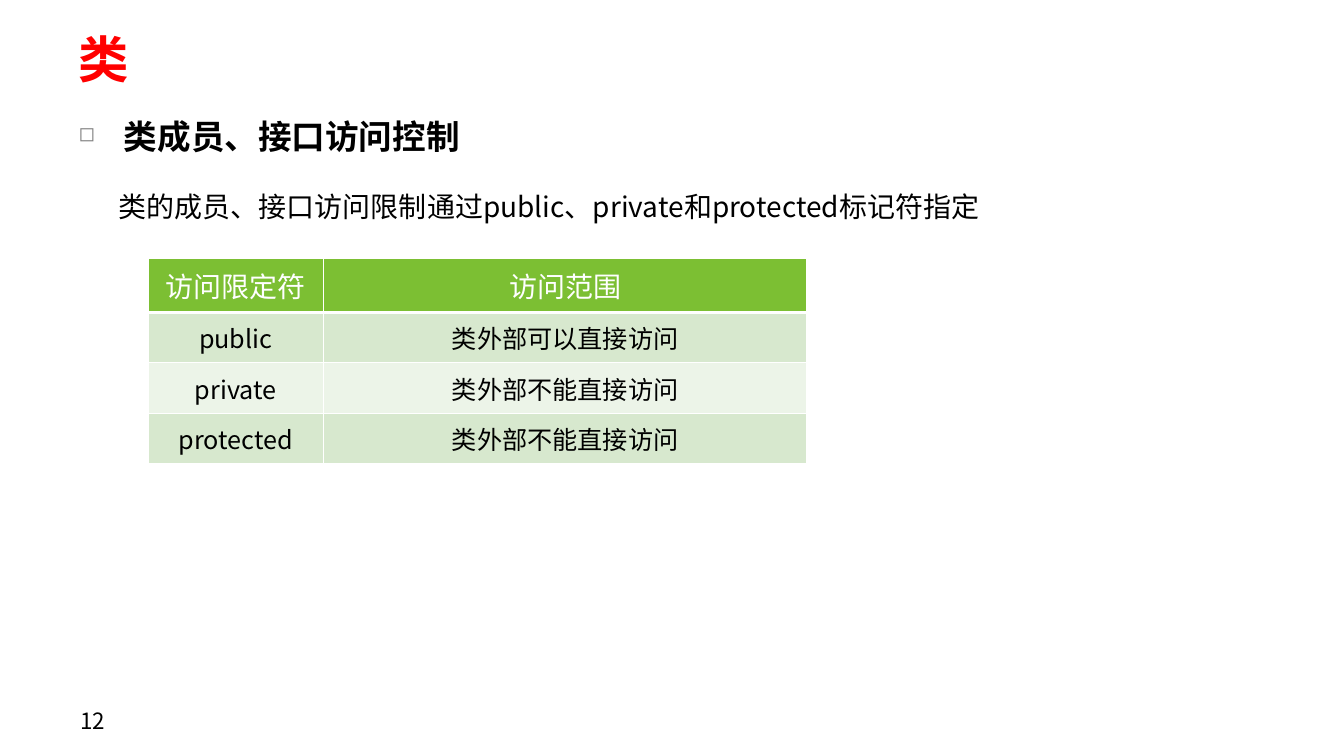
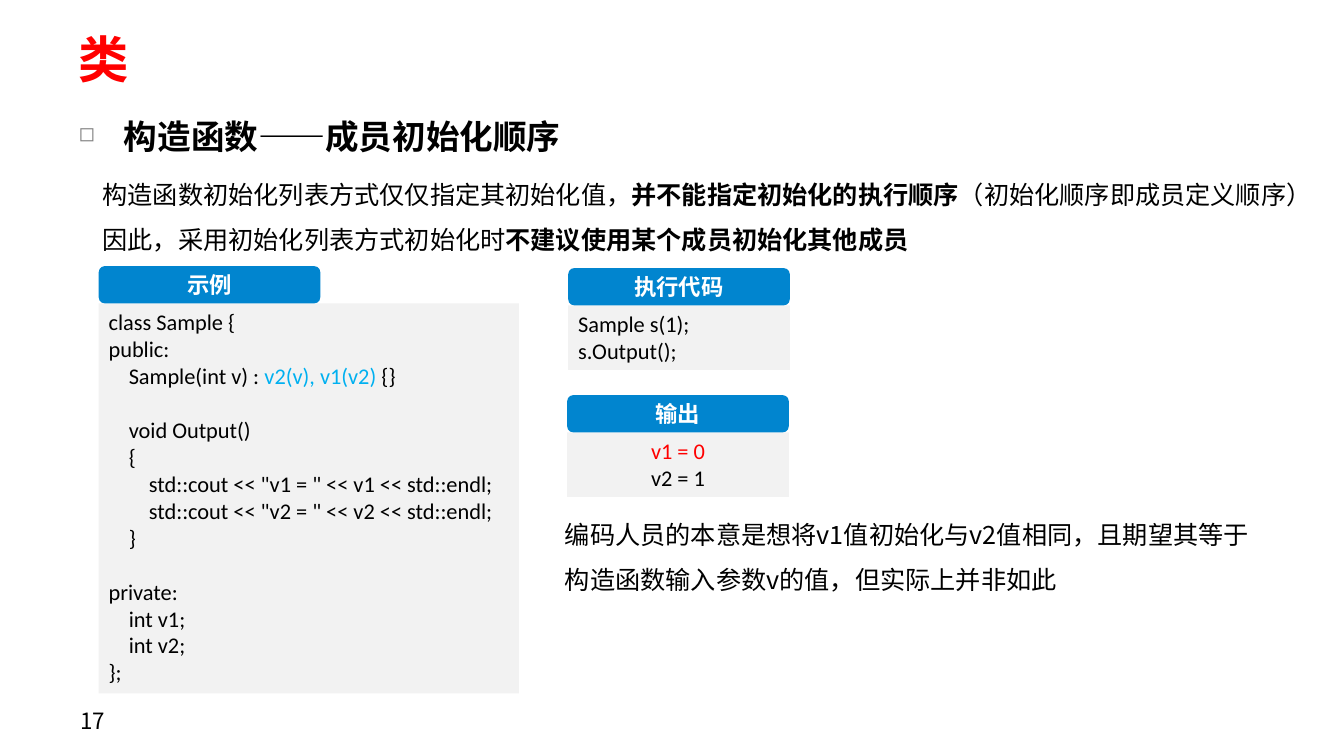
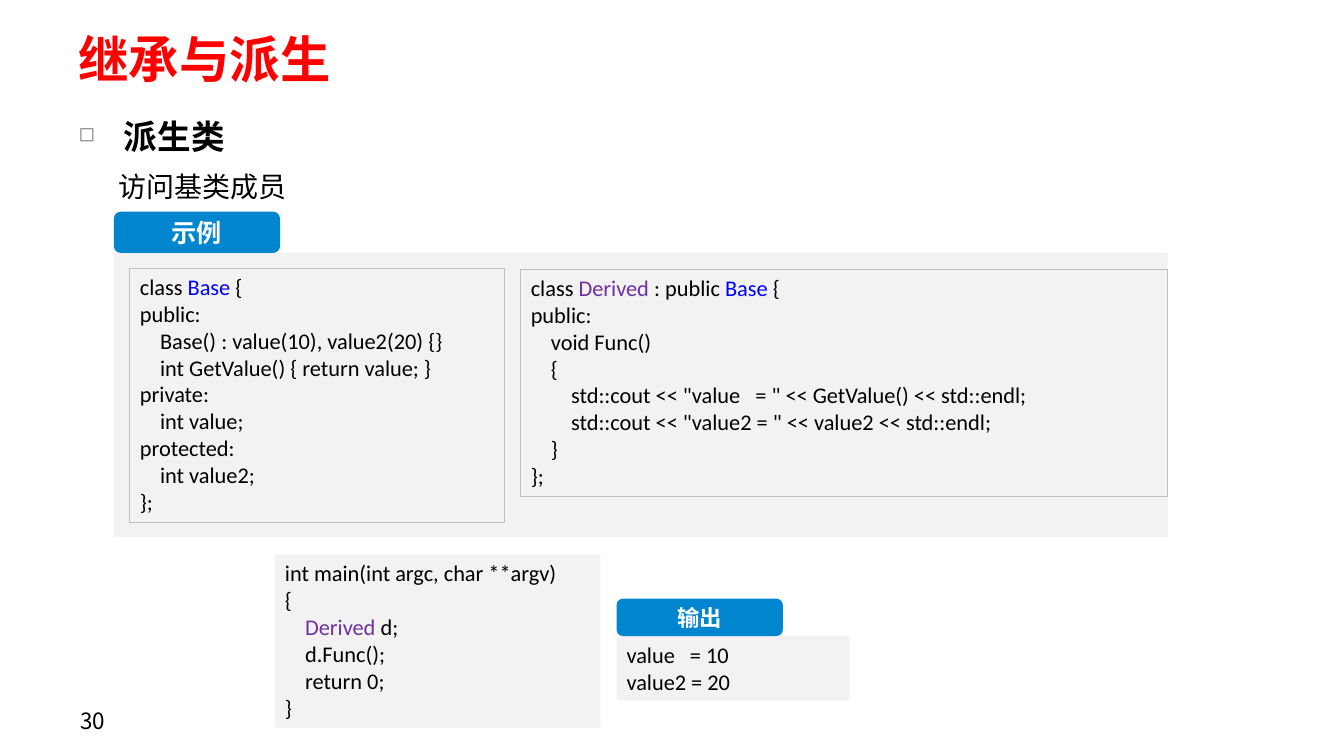
from dataclasses import dataclass
from typing import NamedTuple

from lxml import etree
from pptx import Presentation
from pptx import util as u
from pptx.dml import color as c
from pptx.enum import shapes as s
from pptx.enum import text as t
from pptx.oxml import ns


@dataclass(frozen=True)
class Theme:
    """Colours, fonts and type sizes of the deck."""
    title: str = "FF0000"
    ink: str = "000000"
    paper: str = "FFFFFF"
    bullet: str = "808080"
    tab: str = "0185CF"
    panel: str = "F2F2F2"
    frame: str = "BFBFBF"
    header: str = "7CBF33"
    bands: tuple = ("D7E8CE", "ECF4E8")
    initializer: str = "00B0F0"
    base: str = "0000FF"
    derived: str = "7030A0"
    warning: str = "FF0000"
    text_font: str = "Noto Sans CJK SC"
    code_font: str = "Calibri"
    title_size: int = 36
    heading_size: int = 24
    lead_size: int = 20
    body_size: int = 18
    small_size: int = 16
    code_line: float = 19.5


class Piece(NamedTuple):
    """A stretch of text with its own colour or weight."""
    text: str
    color: str = None
    bold: bool = False


THEME = Theme()
PADDED = (0.13, 0.07)
NORMAL = (0.1, 0.05)
TIGHT = (0.06, 0.03)


class Deck:
    """Builds slides in one style, one element at a time."""

    def __init__(self, theme):
        self.theme = theme
        self.presentation = Presentation()
        self.presentation.slide_width = u.Inches(13.34)
        self.presentation.slide_height = u.Inches(7.5)
        self.slide = None

    def add_slide(self, title, heading, number):
        theme = self.theme
        self.slide = self.presentation.slides.add_slide(self.presentation.slide_layouts[6])
        self.text_box((0.65, 0.28, 12.13, 0.59), [[Piece(title, theme.title, True)]],
                      theme.title_size, inset=PADDED, middle=True)
        box = self.text_box((0.65, 0.92, 12.13, 0.71), [[Piece(heading, bold=True)]],
                            theme.heading_size, inset=PADDED, spacing=1.4)
        self.add_bullet(box.text_frame.paragraphs[0])
        self.text_box((0.67, 6.95, 3.11, 0.4), [str(number)], theme.small_size,
                      inset=PADDED, middle=True)

    def add_bullet(self, paragraph):
        properties = paragraph._p.get_or_add_pPr()
        properties.set("marL", str(u.Inches(0.45)))
        properties.set("indent", str(-u.Inches(0.45)))
        bullet_color = etree.SubElement(properties, ns.qn("a:buClr"))
        etree.SubElement(bullet_color, ns.qn("a:srgbClr"), val=self.theme.bullet)
        etree.SubElement(properties, ns.qn("a:buSzPct"), val="60000")
        etree.SubElement(properties, ns.qn("a:buChar"), char="◻")

    def format_run(self, run, size, font, color, bold=False):
        run.font.size = u.Pt(size)
        run.font.name = font
        run.font.bold = bold
        run.font.color.rgb = c.RGBColor.from_string(color)
        east_asian = etree.Element(ns.qn("a:ea"), typeface=font)
        run.font._element.find(ns.qn("a:latin")).addnext(east_asian)

    def add_pieces(self, paragraph, line, size, font, color=None):
        pieces = [line] if isinstance(line, str) else line
        for item in pieces:
            piece = Piece(item) if isinstance(item, str) else item
            run = paragraph.add_run()
            run.text = piece.text
            self.format_run(run, size, font, piece.color or color or self.theme.ink, piece.bold)

    def fill_frame(self, frame, lines, size, font=None, inset=NORMAL,
                   middle=False, centered=False, spacing=None):
        frame.word_wrap = True
        frame.margin_left = frame.margin_right = u.Inches(inset[0])
        frame.margin_top = frame.margin_bottom = u.Inches(inset[1])
        frame.vertical_anchor = t.MSO_ANCHOR.MIDDLE if middle else t.MSO_ANCHOR.TOP
        paragraph = frame.paragraphs[0]
        gap = False
        for index, line in enumerate(lines):
            if line == "":
                gap = True
                continue
            if index:
                paragraph = frame.add_paragraph()
            paragraph.alignment = t.PP_ALIGN.CENTER if centered else t.PP_ALIGN.LEFT
            if spacing:
                paragraph.line_spacing = spacing
            if gap:
                paragraph.space_before = u.Pt(self.theme.code_line)
            gap = False
            self.add_pieces(paragraph, line, size, font or self.theme.text_font)

    def text_box(self, place, lines, size, **style):
        box = self.slide.shapes.add_textbox(*map(u.Inches, place))
        self.fill_frame(box.text_frame, lines, size, **style)
        return box

    def block(self, kind, place, fill, line=None):
        shape = self.slide.shapes.add_shape(kind, *map(u.Inches, place))
        shape.shadow.inherit = False
        shape.fill.solid()
        shape.fill.fore_color.rgb = c.RGBColor.from_string(fill)
        if line:
            shape.line.color.rgb = c.RGBColor.from_string(line)
            shape.line.width = u.Pt(0.75)
        else:
            shape.line.fill.background()
        return shape

    def code_box(self, place, lines, framed=False, centered=False):
        shape = self.block(s.MSO_SHAPE.RECTANGLE, place, self.theme.panel,
                           self.theme.frame if framed else None)
        self.fill_frame(shape.text_frame, lines, self.theme.small_size,
                        self.theme.code_font, centered=centered)

    def panel(self, label, place, lines, tab=(2.2, 0.37), size=None, centered=False):
        left, top, width, height = place
        self.code_box((left, top + tab[1], width, height), lines, centered=centered)
        shape = self.block(s.MSO_SHAPE.ROUNDED_RECTANGLE, (left, top, *tab), self.theme.tab)
        self.fill_frame(shape.text_frame, [[Piece(label, self.theme.paper, True)]],
                        size or self.theme.small_size, inset=TIGHT, middle=True, centered=True)

    def add_border(self, cell, side, width):
        border = etree.SubElement(cell._tc.get_or_add_tcPr(), ns.qn(f"a:ln{side}"),
                                  w=str(u.Pt(width)))
        fill = etree.SubElement(border, ns.qn("a:solidFill"))
        etree.SubElement(fill, ns.qn("a:srgbClr"), val=self.theme.paper)

    def table(self, left, top, widths, header_height, row_height, rows):
        theme = self.theme
        height = header_height + row_height * (len(rows) - 1)
        place = map(u.Inches, (left, top, sum(widths), height))
        table = self.slide.shapes.add_table(len(rows), len(widths), *place).table
        for column, width in zip(table.columns, widths):
            column.width = u.Inches(width)
        for index, values in enumerate(rows):
            is_header = index == 0
            table.rows[index].height = u.Inches(header_height if is_header else row_height)
            fill = theme.header if is_header else theme.bands[(index - 1) % 2]
            for cell, value in zip(table.rows[index].cells, values):
                for side in "LRTB":
                    heavy = (index, side) in ((0, "B"), (1, "T"))
                    self.add_border(cell, side, 3 if heavy else 1)
                cell.fill.solid()
                cell.fill.fore_color.rgb = c.RGBColor.from_string(fill)
                cell.vertical_anchor = t.MSO_ANCHOR.MIDDLE
                paragraph = cell.text_frame.paragraphs[0]
                paragraph.alignment = t.PP_ALIGN.CENTER
                self.add_pieces(paragraph, value,
                                theme.lead_size if is_header else theme.body_size,
                                theme.text_font, theme.paper if is_header else theme.ink)


def add_access_control(deck):
    deck.add_slide("类", "类成员、接口访问控制", 12)
    deck.text_box((1.08, 1.66, 11.34, 0.61),
                  ["类的成员、接口访问限制通过public、private和protected标记符指定"],
                  THEME.lead_size, spacing=1.5)
    deck.table(1.47, 2.56, (1.74, 4.8), 0.54, 0.5, [
        ("访问限定符", "访问范围"),
        ("public", "类外部可以直接访问"),
        ("private", "类外部不能直接访问"),
        ("protected", "类外部不能直接访问"),
    ])


def add_initialization_order(deck):
    deck.add_slide("类", "构造函数——成员初始化顺序", 17)
    deck.text_box((0.92, 1.58, 12.36, 1.01), [
        ["构造函数初始化列表方式仅仅指定其初始化值，",
         Piece("并不能指定初始化的执行顺序", bold=True),
         "（初始化顺序即成员定义顺序）"],
        ["因此，采用初始化列表方式初始化时",
         Piece("不建议使用某个成员初始化其他成员", bold=True)],
    ], THEME.body_size, spacing=1.5)
    deck.text_box((5.51, 4.95, 7.14, 1.01), [
        "编码人员的本意是想将v1值初始化与v2值相同，且期望其等于构造函数输入参数v的值，但实际上并非如此",
    ], THEME.body_size, spacing=1.5)
    deck.panel("示例", (0.98, 2.64, 4.17, 3.87), [
        "class Sample {",
        "public:",
        ["    Sample(int v) : ", Piece("v2(v), v1(v2)", THEME.initializer), " {}"],
        "",
        "    void Output()",
        "    {",
        '        std::cout << "v1 = " << v1 << std::endl;',
        '        std::cout << "v2 = " << v2 << std::endl;',
        "    }",
        "",
        "private:",
        "    int v1;",
        "    int v2;",
        "};",
    ])
    deck.panel("执行代码", (5.64, 2.66, 2.2, 0.64), ["Sample s(1);", "s.Output();"])
    deck.panel("输出", (5.63, 3.92, 2.2, 0.64),
               [[Piece("v1 = 0", THEME.warning)], "v2 = 1"], centered=True)


def add_derived_class(deck):
    base = Piece("Base", THEME.base)
    derived = Piece("Derived", THEME.derived)
    deck.add_slide("继承与派生", "派生类", 30)
    deck.text_box((1.08, 1.47, 11.34, 0.55), ["访问基类成员"], THEME.lead_size, spacing=1.5)
    deck.panel("示例", (1.13, 2.1, 10.46, 2.82), [], tab=(1.65, 0.41), size=THEME.body_size)
    deck.code_box((1.29, 2.66, 3.72, 2.52), [
        ["class ", base, " {"],
        "public:",
        "    Base() : value(10), value2(20) {}",
        "    int GetValue() { return value; }",
        "private:",
        "    int value;",
        "protected:",
        "    int value2;",
        "};",
    ], framed=True)
    deck.code_box((5.17, 2.67, 6.42, 2.26), [
        ["class ", derived, " : public ", base, " {"],
        "public:",
        "    void Func()",
        "    {",
        '        std::cout << "value   = " << GetValue() << std::endl;',
        '        std::cout << "value2 = " << value2 << std::endl;',
        "    }",
        "};",
    ], framed=True)
    deck.code_box((2.73, 5.5, 3.23, 1.72), [
        "int main(int argc, char **argv)",
        "{",
        ["    ", derived, " d;"],
        "    d.Func();",
        "    return 0;",
        "}",
    ])
    deck.panel("输出", (6.12, 5.94, 2.31, 0.64), ["value   = 10", "value2 = 20"],
               tab=(1.65, 0.37))


def main():
    deck = Deck(THEME)
    add_access_control(deck)
    add_initialization_order(deck)
    add_derived_class(deck)
    deck.presentation.save("out.pptx")


if __name__ == "__main__":
    main()
